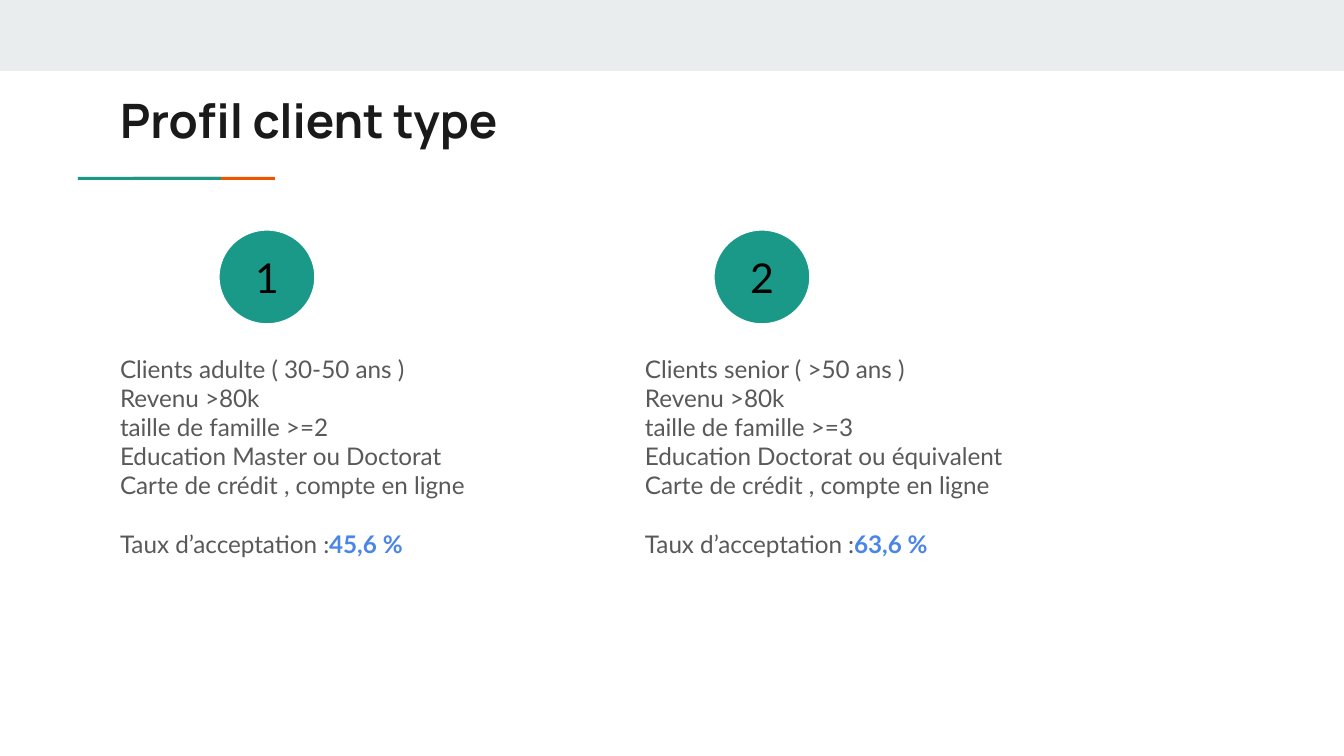
from dataclasses import dataclass

from pptx import Presentation
from pptx.dml.color import RGBColor as RGB
from pptx.enum.shapes import MSO_SHAPE as Shape
from pptx.enum.text import MSO_ANCHOR as Anchor, MSO_AUTO_SIZE as AutoSize, PP_ALIGN as Align
from pptx.util import Emu, Pt

PX = 914400 / 134.4  # EMU in one px


@dataclass(frozen=True)
class Theme:
    band: str = "E9EDEE"
    teal: str = "1A9988"
    orange: str = "EB5600"
    title: str = "1A1A1A"
    body: str = "595959"
    rate: str = "4A86E8"
    white: str = "FFFFFF"
    black: str = "000000"
    title_font: str = "Manrope"
    body_font: str = "Lato"
    title_size: float = 25.4
    number_size: float = 22
    body_size: float = 13
    rate_gap: float = 15.6


@dataclass(frozen=True)
class Profile:
    number: str
    circle_x: int
    text_x: int
    text_w: int
    lines: tuple[str, ...]
    rate: str


T = Theme()
PROFILES = (
    Profile("1", 219, 107, 411,
            ("Clients adulte ( 30-50 ans )", "Revenu >80k", "taille de famille >=2",
             "Education Master ou Doctorat", "Carte de crédit , compte en ligne"), "45,6 %"),
    Profile("2", 714, 632, 427,
            ("Clients senior ( >50 ans )", "Revenu >80k", "taille de famille >=3",
             "Education Doctorat ou équivalent", "Carte de crédit , compte en ligne"), "63,6 %"),
)


def box(*lengths: int) -> list[Emu]:
    return [Emu(round(n * PX)) for n in lengths]


def add_run(p, text: str, *, size: float = T.body_size, color: str = T.body,
            font: str = T.body_font, bold: bool = False) -> None:
    r = p.add_run()
    r.text = text
    r.font.size, r.font.name, r.font.bold = Pt(size), font, bold
    r.font.color.rgb = RGB.from_string(color)


def set_frame(tf, anchor=Anchor.TOP, auto_size=AutoSize.NONE) -> None:
    tf.word_wrap, tf.vertical_anchor, tf.auto_size = True, anchor, auto_size
    tf.margin_left, tf.margin_top, tf.margin_right, tf.margin_bottom = box(13, 13, 13, 13)


def add_filled(s, kind, x: int, y: int, w: int, h: int, fill: str, line: str | None = None):
    sp = s.shapes.add_shape(kind, *box(x, y, w, h))
    sp.shadow.inherit = False
    sp.fill.solid()
    sp.fill.fore_color.rgb = RGB.from_string(fill)
    if line:
        sp.line.color.rgb = RGB.from_string(line)
        sp.line.width = Pt(0.75)
    else:
        sp.line.fill.background()
    return sp


def add_title(s, text: str) -> None:
    sp = s.shapes.title
    sp.left, sp.top, sp.width, sp.height = box(107, 78, 1130, 79)
    set_frame(sp.text_frame)
    p = sp.text_frame.paragraphs[0]
    p.alignment = Align.LEFT
    add_run(p, text, size=T.title_size, color=T.title, font=T.title_font, bold=True)


def add_profile(s, profile: Profile) -> None:
    # Description and acceptance rate
    sp = s.shapes.add_textbox(*box(profile.text_x, 341, profile.text_w, 233))
    tf = sp.text_frame
    set_frame(tf, auto_size=AutoSize.SHAPE_TO_FIT_TEXT)
    for i, line in enumerate(profile.lines):
        p = tf.add_paragraph() if i else tf.paragraphs[0]
        add_run(p, line)
    p = tf.add_paragraph()
    p.space_before = Pt(T.rate_gap)
    add_run(p, "Taux d’acceptation :")
    add_run(p, profile.rate, color=T.rate, bold=True)

    # Numbered circle
    sp = add_filled(s, Shape.OVAL, profile.circle_x, 230, 96, 94, T.teal, T.white)
    set_frame(sp.text_frame, Anchor.MIDDLE)
    p = sp.text_frame.paragraphs[0]
    p.alignment = Align.CENTER
    add_run(p, profile.number, size=T.number_size, color=T.black)


def main() -> None:
    prs = Presentation()
    prs.slide_width, prs.slide_height = box(1344, 756)
    s = prs.slides.add_slide(prs.slide_layouts[5])

    # Top band and two-colour rule
    add_filled(s, Shape.RECTANGLE, 0, 0, 1344, 71, T.band)
    add_filled(s, Shape.RECTANGLE, 133, 177, 142, 3, T.orange)
    add_filled(s, Shape.RECTANGLE, 78, 177, 143, 3, T.teal)

    # Title and customer profiles
    add_title(s, "Profil client type")
    for profile in PROFILES:
        add_profile(s, profile)

    prs.save("out.pptx")


if __name__ == "__main__":
    main()
